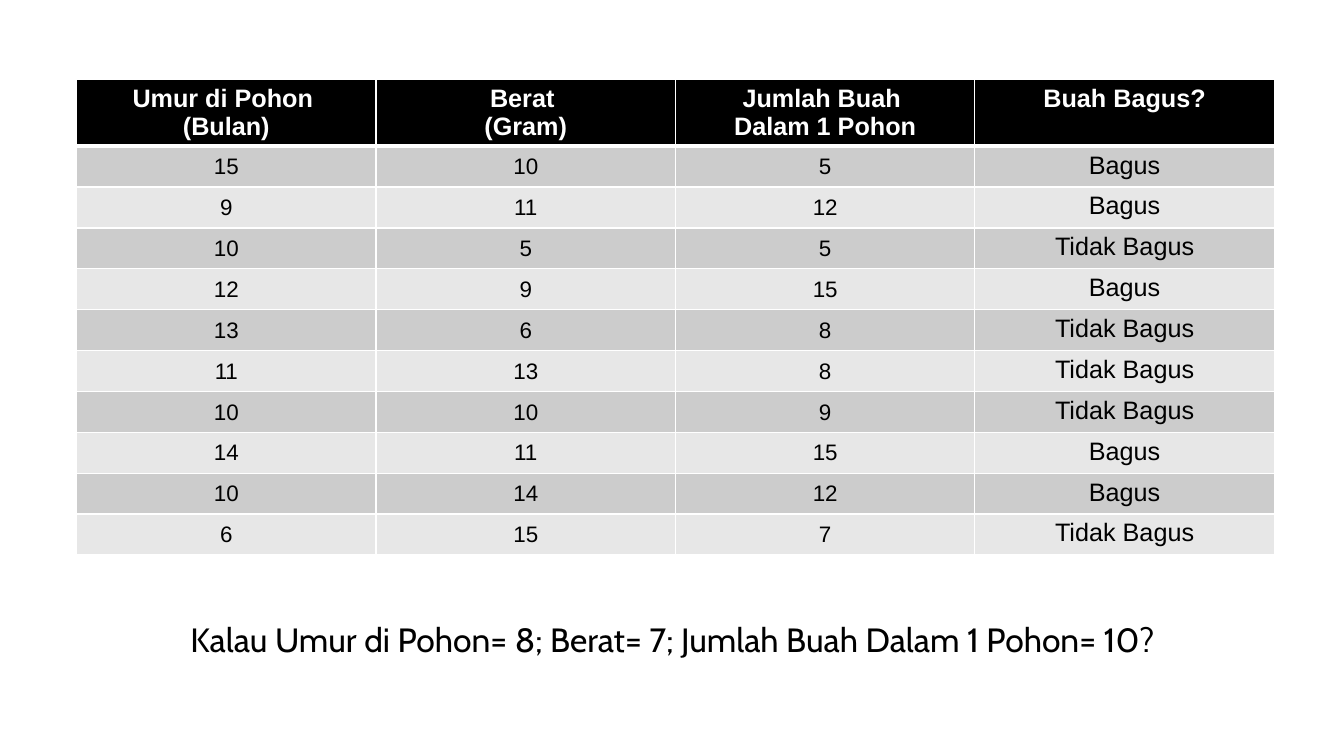
"""Builds a slide with a fruit quality table and a question below it."""
from dataclasses import dataclass

from lxml import etree
from pptx import Presentation, util as u
from pptx.dml.color import RGBColor
from pptx.enum import text
from pptx.oxml.ns import qn


@dataclass(frozen=True)
class Theme:
    """Colours, fonts and type sizes of the slide."""
    black: str = "000000"
    white: str = "FFFFFF"
    bands: tuple = ("CCCCCC", "E7E7E7")
    table_font: str = "Arial"
    question_font: str = "Cabin"
    label_size: int = 18
    number_size: int = 16
    question_size: int = 24


THEME = Theme()
WIDTH, HEIGHT = u.Inches(13.33), u.Inches(7.5)
COLUMN_WIDTH = u.Inches(2.97)
HEADER_HEIGHT, ROW_HEIGHT = u.Pt(47.2), u.Pt(29.2)
HEADERS = ("Umur di Pohon \n(Bulan)", "Berat \n(Gram)",
           "Jumlah Buah \nDalam 1 Pohon", "Buah Bagus?")
FRUITS = (
    (15, 10, 5, "Bagus"),
    (9, 11, 12, "Bagus"),
    (10, 5, 5, "Tidak Bagus"),
    (12, 9, 15, "Bagus"),
    (13, 6, 8, "Tidak Bagus"),
    (11, 13, 8, "Tidak Bagus"),
    (10, 10, 9, "Tidak Bagus"),
    (14, 11, 15, "Bagus"),
    (10, 14, 12, "Bagus"),
    (6, 15, 7, "Tidak Bagus"),
)
QUESTION = "Kalau Umur di Pohon= 8; Berat= 7; Jumlah Buah Dalam 1 Pohon= 10?"


def set_values(target, values):
    """Set every attribute in a dict of format values."""
    for name, value in values.items():
        setattr(target, name, value)


def write_text(frame, content, colour, **font_values):
    """Write centred paragraphs in one font."""
    frame.text = content
    for paragraph in frame.paragraphs:
        paragraph.alignment = text.PP_ALIGN.CENTER
        for run in paragraph.runs:
            set_values(run.font, font_values)
            run.font.color.rgb = RGBColor.from_string(colour)


def set_borders(cell, bottom_width):
    """Draw white borders, with a chosen width at the bottom."""
    properties = cell._tc.get_or_add_tcPr()
    sides = {"lnL": 1, "lnR": 1, "lnT": 1, "lnB": bottom_width}
    for position, (side, width) in enumerate(sides.items()):
        line = etree.Element(qn(f"a:{side}"), w=str(u.Pt(width)))
        fill = etree.SubElement(line, qn("a:solidFill"))
        etree.SubElement(fill, qn("a:srgbClr"), val=THEME.white)
        properties.insert(position, line)


def format_cell(cell, content, fill, colour, size, bold=False, bottom_width=1):
    """Fill, border and write one table cell."""
    cell.fill.solid()
    cell.fill.fore_color.rgb = RGBColor.from_string(fill)
    set_borders(cell, bottom_width)
    write_text(cell.text_frame, content, colour, name=THEME.table_font,
               size=u.Pt(size), bold=bold)


def format_number_cell(cell, number, fill):
    """Write a vertically centred number with narrow margins."""
    format_cell(cell, str(number), fill, THEME.black, THEME.number_size)
    margin = u.Inches(0.01)
    set_values(cell, {"vertical_anchor": text.MSO_ANCHOR.MIDDLE,
                      "margin_left": margin, "margin_right": margin,
                      "margin_top": margin, "margin_bottom": 0})


def add_fruit_table(slide):
    """Add the table with its header and banded fruit rows."""
    table = slide.shapes.add_table(
        len(FRUITS) + 1, len(HEADERS), u.Inches(0.76), u.Inches(0.79),
        COLUMN_WIDTH * len(HEADERS),
        HEADER_HEIGHT + ROW_HEIGHT * len(FRUITS)).table
    table.horz_banding = False
    for column in table.columns:
        column.width = COLUMN_WIDTH
    for row in table.rows:
        row.height = ROW_HEIGHT
    table.rows[0].height = HEADER_HEIGHT
    for column, header in enumerate(HEADERS):
        format_cell(table.cell(0, column), header, THEME.black, THEME.white,
                    THEME.label_size, bold=True, bottom_width=3)
    for row, (*numbers, verdict) in enumerate(FRUITS, start=1):
        band = THEME.bands[(row - 1) % len(THEME.bands)]
        for column, number in enumerate(numbers):
            format_number_cell(table.cell(row, column), number, band)
        format_cell(table.cell(row, len(numbers)), verdict, band,
                    THEME.black, THEME.label_size)


def add_question(slide):
    """Add the centred question below the table."""
    box = slide.shapes.add_textbox(u.Inches(0.73), u.Inches(6.09),
                                   COLUMN_WIDTH * len(HEADERS), u.Inches(0.5))
    set_values(box.text_frame, {"word_wrap": True,
                                "auto_size": text.MSO_AUTO_SIZE.SHAPE_TO_FIT_TEXT})
    write_text(box.text_frame, QUESTION, THEME.black,
               name=THEME.question_font, size=u.Pt(THEME.question_size))


def main():
    """Build and save the presentation."""
    presentation = Presentation()
    set_values(presentation, {"slide_width": WIDTH, "slide_height": HEIGHT})
    slide = presentation.slides.add_slide(presentation.slide_layouts[6])
    add_fruit_table(slide)
    add_question(slide)
    presentation.save("out.pptx")


if __name__ == "__main__":
    main()
